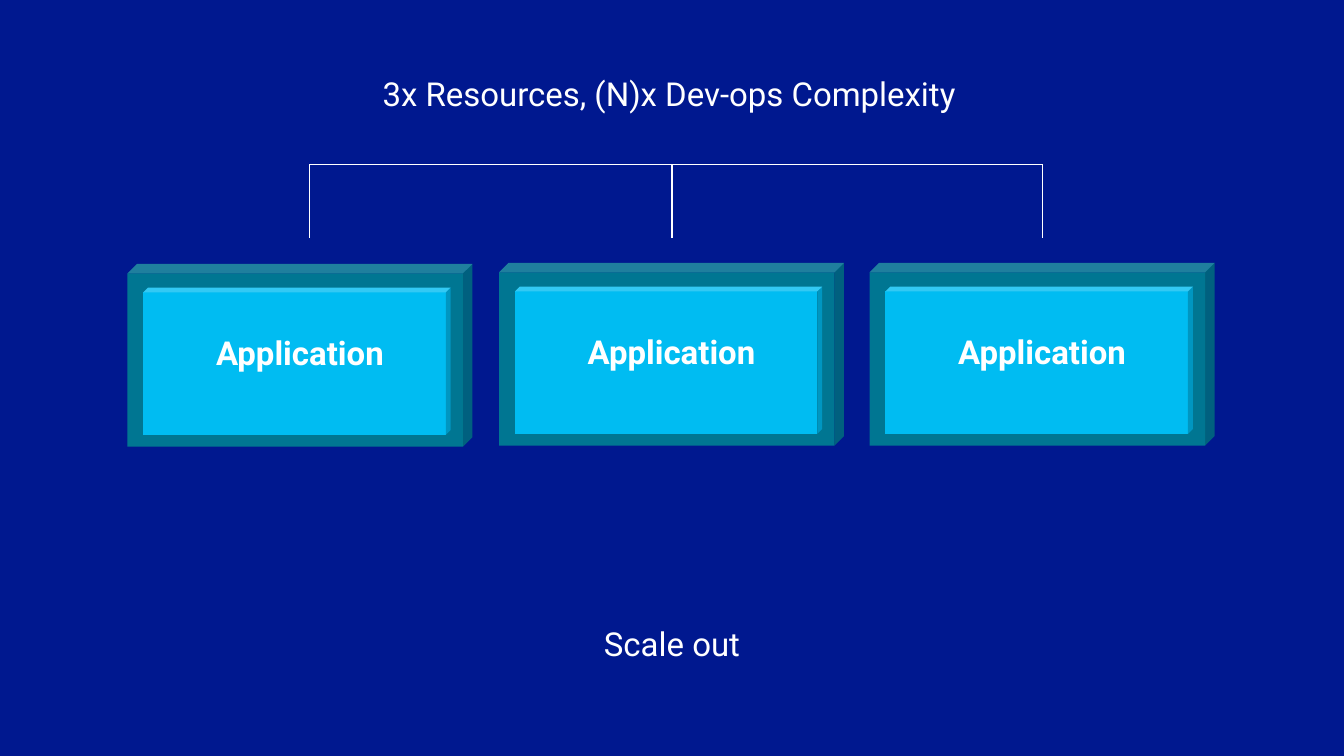
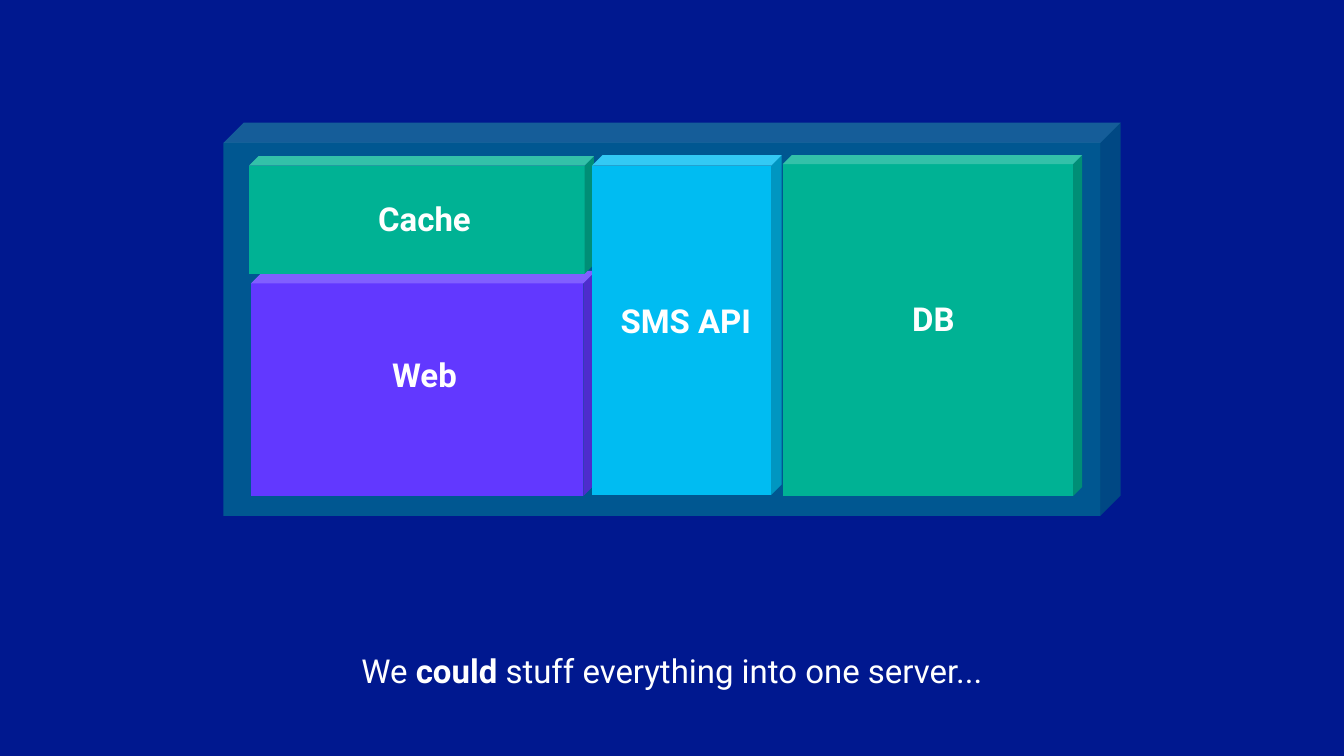
from lxml import etree
from pptx import Presentation
from pptx import util as u
from pptx.dml.color import RGBColor
from pptx.enum import shapes, text
from pptx.oxml import ns

PX = 9144
NAVY = RGBColor(0x00, 0x18, 0x8F)
WHITE = RGBColor(0xFF, 0xFF, 0xFF)
GREEN = RGBColor(0x00, 0xB2, 0x94)
CYAN = RGBColor(0x00, 0xBC, 0xF2)
PURPLE = RGBColor(0x62, 0x38, 0xFF)
FONT = "Roboto"
WIDTH, HEIGHT, LINE_HEIGHT = 1360, 765, 69


def write(box, place, spans):
    box.left, box.top, box.width, box.height = [n * PX for n in place]
    frame = box.text_frame
    frame.word_wrap = True
    frame.auto_size = text.MSO_AUTO_SIZE.NONE
    frame.vertical_anchor = text.MSO_ANCHOR.TOP
    frame.margin_left = frame.margin_right = 20 * PX
    frame.margin_top = frame.margin_bottom = 16 * PX
    para = frame.paragraphs[0]
    para.alignment = text.PP_ALIGN.CENTER
    para.line_spacing = 0.9
    para.space_after = u.Pt(6)
    for words, bold in spans:
        span = para.add_run()
        span.text = words
        span.font.name = FONT
        span.font.size = u.Pt(24)
        span.font.bold = bold
        span.font.color.rgb = WHITE


def add_cube(parent, place, depth, colour, opacity=100):
    cube = parent.add_shape(shapes.MSO_SHAPE.CUBE, *[n * PX for n in place])
    cube.adjustments[0] = depth
    cube.shadow.inherit = False
    cube.line.fill.background()
    cube.fill.solid()
    cube.fill.fore_color.rgb = colour
    if opacity < 100:
        tint = cube.fill._xPr.find(".//" + ns.qn("a:srgbClr"))
        etree.SubElement(tint, ns.qn("a:alpha"), val=str(opacity * 1000))


deck = Presentation()
deck.slide_width, deck.slide_height = WIDTH * PX, HEIGHT * PX
backdrop = deck.slide_master.background.fill
backdrop.solid()
backdrop.fore_color.rgb = NAVY
title_only = deck.slide_layouts.get_by_name("Title Only")

scale_page = deck.slides.add_slide(title_only)
write(scale_page.shapes.title, (0, 619, WIDTH, LINE_HEIGHT), [("Scale out", False)])

for left, top in ((129, 267), (505, 266), (880, 266)):
    server = scale_page.shapes.add_group_shape().shapes
    add_cube(server, (left, top, 349, 185), 0.052, GREEN, 61)
    add_cube(server, (left + 16, top + 24, 311, 149), 0.033, CYAN)
    label = server.add_textbox(0, 0, 0, 0)
    write(label, (left + 22, top + 58, 305, LINE_HEIGHT), [("Application", True)])

bar_top, stem_bottom = 166, 241
stems = (313, 680, 1055)
bracket = [(x, stem_bottom, x, bar_top) for x in stems]
bracket.append((stems[0], bar_top, stems[-1], bar_top))
for ends in bracket:
    line = scale_page.shapes.add_connector(
        shapes.MSO_CONNECTOR.STRAIGHT, *[n * PX for n in ends])
    line.line.color.rgb = WHITE
    line.line.width = u.Pt(0.75)
    etree.SubElement(line._element.spPr, ns.qn("a:effectLst"))

cost = scale_page.shapes.add_textbox(0, 0, 0, 0)
write(cost, (-3, 63, WIDTH, LINE_HEIGHT),
      [("3x Resources, (N)x Dev-ops Complexity", False)])

server_page = deck.slides.add_slide(title_only)
write(server_page.shapes.title, (0, 647, WIDTH, LINE_HEIGHT),
      [("We ", False), ("could ", True),
       ("stuff everything into one server...", False)])

add_cube(server_page.shapes, (226, 124, 908, 398), 0.052, GREEN, 41)
services = (
    ("Web", (254, 274, 349, 228), 0.056, PURPLE, (254, 347, 351)),
    ("Cache", (252, 158, 349, 119), 0.08, GREEN, (254, 189, 351)),
    ("SMS API", (599, 157, 192, 344), 0.056, CYAN, (598, 293, 192)),
    ("DB", (792, 157, 303, 345), 0.03, GREEN, (792, 291, 305)),
)
for name, place, depth, colour, label_place in services:
    service = server_page.shapes.add_group_shape().shapes
    add_cube(service, place, depth, colour)
    label = service.add_textbox(0, 0, 0, 0)
    write(label, (*label_place, LINE_HEIGHT), [(name, True)])

deck.save("out.pptx")
